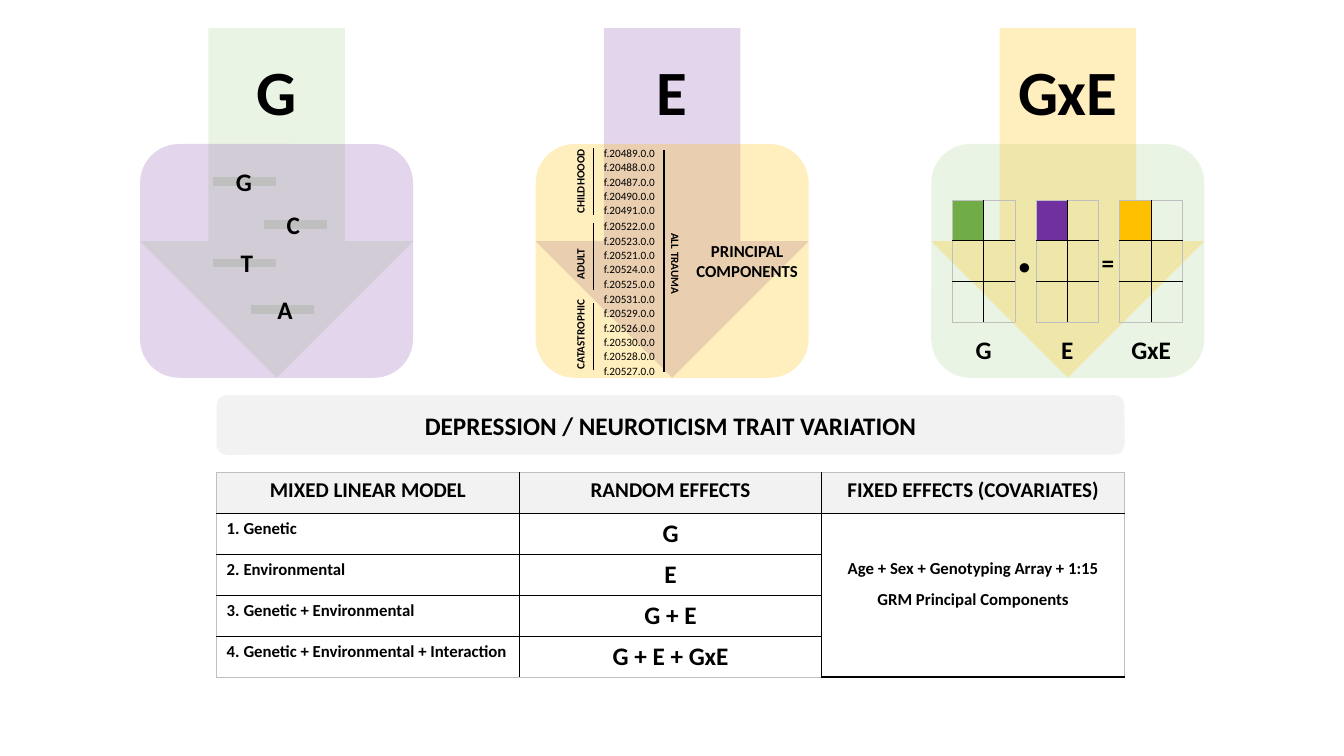
from dataclasses import dataclass

from pptx import Presentation
from pptx.dml.color import RGBColor
from pptx.enum import shapes, text
from pptx.oxml import ns, xmlchemy
from pptx.util import Cm, Pt


@dataclass(frozen=True)
class Theme:
    font: str = "Calibri"
    ink: str = "000000"
    green: str = "70AD47"
    pale_green: str = "E2F0D9"
    purple: str = "7030A0"
    amber: str = "FFC000"
    pale_grey: str = "F2F2F2"
    mid_grey: str = "BFBFBF"
    tiny: int = 8
    small: int = 12
    header: int = 15
    normal: int = 18
    giant: int = 45


@dataclass(frozen=True)
class Box:
    """An area of the slide, in centimetres."""
    left: float
    top: float
    width: float
    height: float

    def lengths(self):
        return [Cm(side) for side in (self.left, self.top, self.width, self.height)]


THEME = Theme()
NO_STYLE = "{2D5ABB26-0587-4C30-8999-92F81FD0307C}"
CENTER = text.PP_ALIGN.CENTER


# Shared helpers
def rgb(color):
    return RGBColor.from_string(color)


def format_text(frame, size, bold=True, align=CENTER):
    for para in frame.paragraphs:
        para.alignment = align
        for span in para.runs:
            span.font.name, span.font.size, span.font.bold = THEME.font, Pt(size), bold
            span.font.color.rgb = rgb(THEME.ink)


def add_label(page, words, center_x, center_y, width, height, size, turn=0):
    area = Box(center_x - width / 2, center_y - height / 2, width, height)
    label = page.shapes.add_textbox(*area.lengths())
    label.rotation = turn
    frame = label.text_frame
    frame.word_wrap = True
    frame.margin_left = frame.margin_right = 0
    frame.text = words
    format_text(frame, size)


def add_block(page, kind, box, color, opacity=100):
    block = page.shapes.add_shape(kind, *box.lengths())
    block.shadow.inherit = False
    block.line.fill.background()
    block.fill.solid()
    block.fill.fore_color.rgb = rgb(color)
    if opacity < 100:
        tint = next(block.element.iter(ns.qn("a:srgbClr")))
        tint.append(xmlchemy.OxmlElement("a:alpha"))
        tint[0].set("val", str(opacity * 1000))


def add_line(page, x1, y1, x2, y2, color=THEME.ink, weight=1):
    line = page.shapes.add_connector(
        shapes.MSO_CONNECTOR.STRAIGHT, Cm(x1), Cm(y1), Cm(x2), Cm(y2))
    line.line.color.rgb, line.line.width = rgb(color), Pt(weight)
    line.element.spPr.append(xmlchemy.OxmlElement("a:effectLst"))


def add_plain_table(page, box, rows, columns):
    holder = page.shapes.add_table(rows, columns, *box.lengths())
    next(holder.element.iter(ns.qn("a:tableStyleId"))).text = NO_STYLE
    table = holder.table
    table.first_row = table.horz_banding = False
    for row in table.rows:
        row.height = Cm(box.height / rows)
    return table


def rule_table(table):
    """Black inner rules, a thin grey frame, and no fill."""
    last_row, last_column = len(table.rows) - 1, len(table.columns) - 1
    for row in range(last_row + 1):
        for column in range(last_column + 1):
            cell = table.cell(row, column)
            outer = {"L": column == 0, "R": column == last_column,
                     "T": row == 0, "B": row == last_row}
            for side, framed in outer.items():
                rule = xmlchemy.OxmlElement(f"a:ln{side}")
                rule.set("w", str(Pt(0.5 if framed else 1)))
                paint = xmlchemy.OxmlElement("a:solidFill")
                color = xmlchemy.OxmlElement("a:srgbClr")
                color.set("val", THEME.mid_grey if framed else THEME.ink)
                paint.append(color)
                rule.append(paint)
                cell._tc.get_or_add_tcPr().append(rule)
            cell.fill.background()


def fill_cell(cell, color):
    cell.fill.solid()
    cell.fill.fore_color.rgb = rgb(color)


# Column: arrow, rounded card and heading; returns the card's box
def add_column(page, box, heading, arrow, card, arrow_in_front=False):
    card_box = Box(box.left, box.top + 2.92, box.width, box.height - 2.92)
    layers = [(shapes.MSO_SHAPE.DOWN_ARROW, box, *arrow),
              (shapes.MSO_SHAPE.ROUNDED_RECTANGLE, card_box, *card)]
    for layer in reversed(layers) if arrow_in_front else layers:
        add_block(page, *layer)
    add_label(page, heading, box.left + box.width / 2, box.top + 1.57,
              3.2, 2.18, THEME.giant)
    return card_box


# Card G: bases on grey bars
def add_bases(page, card):
    for base, bar_x, letter_x, y in (("G", 1.83, 2.62, 0.94), ("C", 3.12, 3.86, 2.03),
                                     ("T", 1.83, 2.69, 3.0), ("A", 2.79, 3.65, 4.17)):
        left, middle = card.left + bar_x, card.top + y
        add_line(page, left, middle, left + 1.6, middle, THEME.mid_grey, 6)
        add_label(page, base, card.left + letter_x, middle, 1.27, 1.02, THEME.normal)


# Card E: field codes grouped by kind of trauma
def add_trauma_fields(page, card):
    groups = (("CHILDHOOOD", 0.05, 0.1, 0.94, (20489, 20488, 20487, 20490, 20491)),
              ("ADULT", 1.9, 2.0, 3.02, (20522, 20523, 20521, 20524, 20525)),
              ("CATASTROPHIC", 3.73, 4.01, 4.8,
               (20531, 20529, 20526, 20530, 20528, 20527)))
    for name, codes_y, bar_y, name_y, codes in groups:
        area = Box(card.left + 1.7, card.top + codes_y, 1.7, 0.36 * len(codes))
        table = add_plain_table(page, area, len(codes), 1)
        for row, code in enumerate(codes):
            cell = table.cell(row, 0)
            cell.margin_left = cell.margin_right = cell.margin_top = Cm(0.02)
            cell.margin_bottom = 0
            cell.vertical_anchor = text.MSO_ANCHOR.BOTTOM
            cell.text_frame.text = f"f.{code}.0.0"
            format_text(cell.text_frame, THEME.tiny, False, text.PP_ALIGN.LEFT)
        bar_x, bar_top = card.left + 1.45, card.top + bar_y
        add_line(page, bar_x, bar_top, bar_x, bar_top + 1.68)
        add_label(page, name, card.left + 1.13, card.top + name_y,
                  2.4, 0.6, THEME.tiny, 270)
    total_x = card.left + 3.23
    add_line(page, total_x, card.top + 0.15, total_x, card.top + 5.74)
    add_label(page, "ALL TRAUMA", card.left + 3.52, card.top + 3.02,
              2.3, 0.6, THEME.tiny, 90)
    add_label(page, "PRINCIPAL COMPONENTS", card.left + 5.33, card.top + 2.95,
              3.4, 1.27, THEME.small)


# Card GxE: matrix product
def add_matrix_product(page, card):
    matrices = (("G", THEME.green), ("E", THEME.purple), ("GxE", THEME.amber))
    for index, (name, color) in enumerate(matrices):
        area = Box(card.left + 0.53 + 2.11 * index, card.top + 1.42, 1.58, 3.06)
        table = add_plain_table(page, area, 3, 2)
        rule_table(table)
        fill_cell(table.cell(0, 0), color)
        add_label(page, name, area.left + area.width / 2, card.top + 5.18,
                  1.65, 1.02, THEME.normal)
    add_label(page, ".", card.left + 2.36, card.top + 2.62, 1.3, 2.18, THEME.giant)
    add_label(page, "=", card.left + 4.45, card.top + 3.0, 0.71, 1.02, THEME.normal)


# Banner: the slide title on a grey bar
def add_banner(page, box):
    add_block(page, shapes.MSO_SHAPE.ROUNDED_RECTANGLE, box, THEME.pale_grey)
    title = page.shapes.title
    title.left, title.top, title.width, title.height = box.lengths()
    title.element.getparent().append(title.element)
    frame = title.text_frame
    frame.text = "DEPRESSION / NEUROTICISM TRAIT VARIATION"
    frame.auto_size = text.MSO_AUTO_SIZE.NONE
    frame.vertical_anchor = text.MSO_ANCHOR.MIDDLE
    frame.paragraphs[0].line_spacing = 1.0
    format_text(frame, THEME.normal)


# Model table
def add_models(page, box):
    headers = ("MIXED LINEAR MODEL", "RANDOM EFFECTS", "FIXED EFFECTS (COVARIATES)")
    models = (("1. Genetic", "G"), ("2. Environmental", "E"),
              ("3. Genetic + Environmental", "G + E"),
              ("4. Genetic + Environmental + Interaction", "G + E + GxE"))
    table = add_plain_table(page, box, 5, 3)
    rule_table(table)
    for column, header in enumerate(headers):
        cell = table.cell(0, column)
        fill_cell(cell, THEME.pale_grey)
        cell.text_frame.text = header
        format_text(cell.text_frame, THEME.header)
    for row, (model, effects) in enumerate(models, 1):
        name, formula = table.cell(row, 0).text_frame, table.cell(row, 1).text_frame
        name.text, formula.text = model, effects
        format_text(name, THEME.small, align=text.PP_ALIGN.LEFT)
        format_text(formula, THEME.normal)
    covariates = table.cell(1, 2)
    covariates.merge(table.cell(4, 2))
    covariates.margin_top = Cm(0.88)
    frame = covariates.text_frame
    frame.text = "Age + Sex + Genotyping Array + 1:15 GRM Principal Components"
    frame.paragraphs[0].line_spacing = 1.5
    format_text(frame, THEME.small)


deck = Presentation()
deck.slide_width, deck.slide_height = Cm(33.87), Cm(19.05)
page = deck.slides.add_slide(deck.slide_layouts[5])

green, purple, amber = (THEME.pale_green, 70), (THEME.purple, 20), (THEME.amber, 25)
columns = [Box(3.53 + 9.97 * index, 0.71, 6.88, 8.81) for index in range(3)]
add_bases(page, add_column(page, columns[0], "G", green, purple))
add_trauma_fields(page, add_column(page, columns[1], "E", purple, amber))
add_matrix_product(page, add_column(page, columns[2], "GxE", amber, green, True))
add_banner(page, Box(5.46, 9.96, 22.88, 1.5))
add_models(page, Box(5.46, 11.91, 22.88, 5.15))
deck.save("out.pptx")
